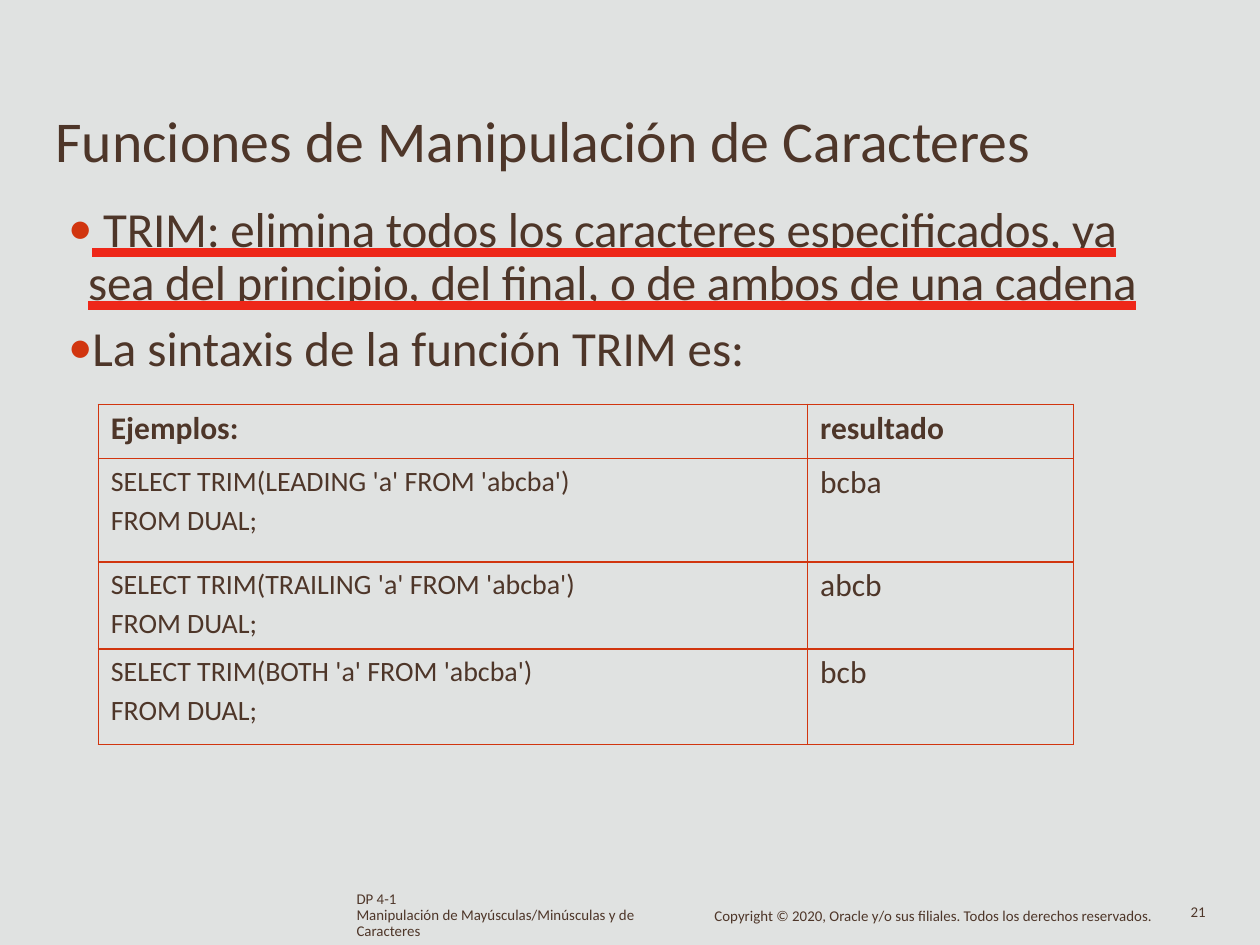
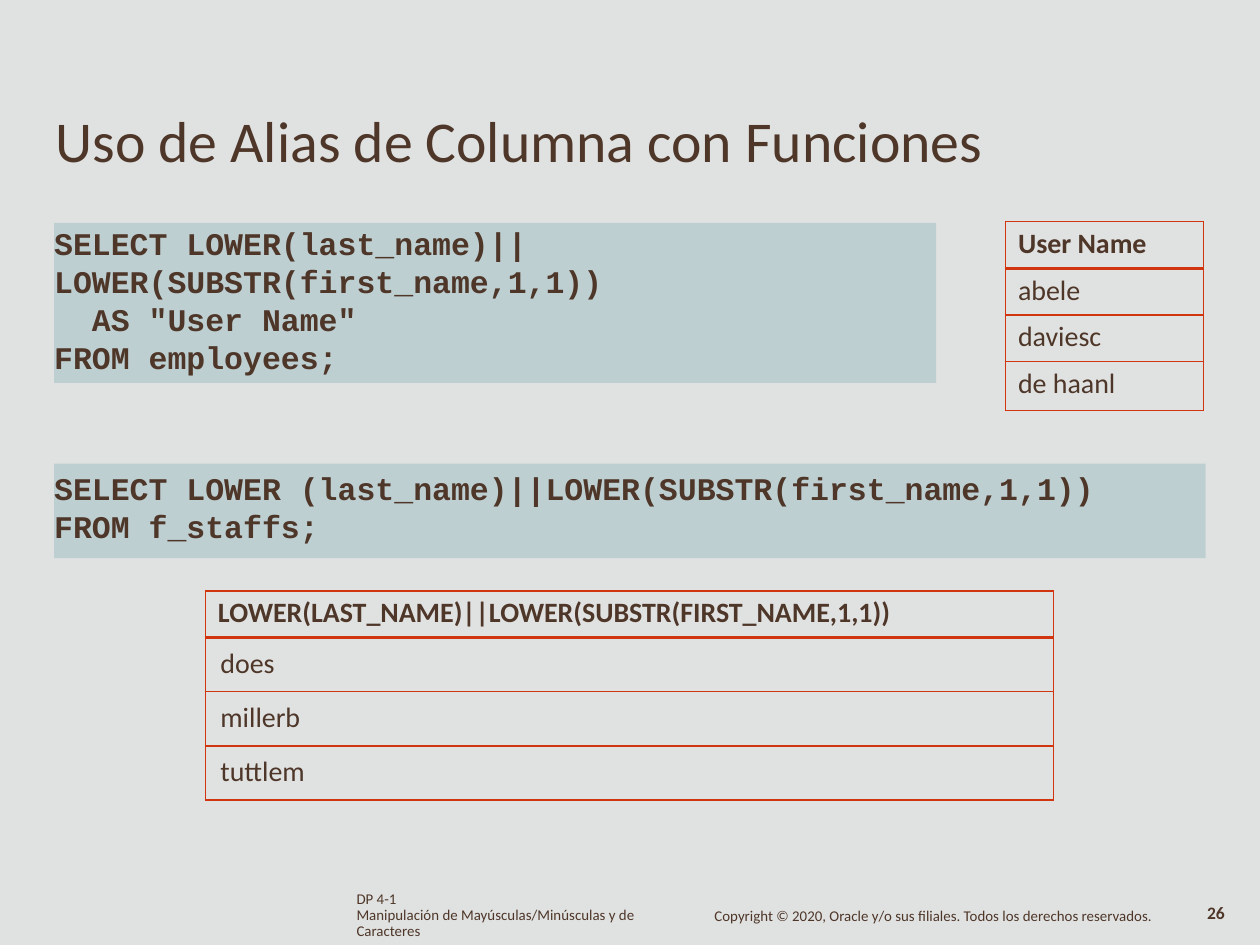
from dataclasses import dataclass
from typing import Optional

from lxml.etree import SubElement
from pptx import Presentation
from pptx.dml.color import RGBColor
from pptx.enum.shapes import MSO_SHAPE
from pptx.enum.text import MSO_ANCHOR, MSO_AUTO_SIZE, MSO_UNDERLINE, PP_ALIGN
from pptx.oxml.ns import qn
from pptx.util import Inches, Pt

BACKGROUND = RGBColor(0xE0, 0xE2, 0xE1)
BROWN = RGBColor(0x4E, 0x36, 0x29)
RED = RGBColor(0xD1, 0x35, 0x0F)
UNDERLINE_RED = RGBColor(0xEE, 0x27, 0x19)
CODE_BLUE = RGBColor(0x9D, 0xBE, 0xC4)
TEXT_FONT = "Calibri"
CODE_FONT = "Courier New"
TITLE_ONLY, TITLE_AND_BODY = 5, 1
THIN, THICK = 1, 2.25


@dataclass
class Box:
    left: float
    top: float
    width: float
    height: float

    def lengths(self) -> tuple:
        return tuple(Inches(n) for n in (self.left, self.top, self.width, self.height))


@dataclass
class TextStyle:
    size: float
    bold: bool = False
    font: str = TEXT_FONT
    line_spacing: Optional[float] = None


@dataclass
class PageNumber:
    text: str
    left: float
    style: TextStyle


@dataclass
class CellStyle:
    text: TextStyle
    left: float = 0.1
    top: float = 0.04


@dataclass
class Grid:
    box: Box
    columns: list
    row_heights: list
    rows: list
    header: CellStyle
    body: list
    header_rule: float = THIN


@dataclass
class CodeBlock:
    box: Box
    top_inset: float
    paragraphs: list
    indents: list


TITLE = TextStyle(33)
BULLET = TextStyle(28)
FOOTER = TextStyle(8.5, line_spacing=9.1)
CODE = TextStyle(18, bold=True, font=CODE_FONT)

FOOTERS = [
    (Box(2.83, 7.08, 2.24, 0.4),
     "DP 4-1\nManipulación de Mayúsculas/Minúsculas y de Caracteres"),
    (Box(5.67, 7.21, 3.51, 0.15),
     "Copyright © 2020, Oracle y/o sus filiales. Todos los derechos reservados."),
]

BULLETS = [
    " TRIM: elimina todos los caracteres especificados, ya sea del principio, "
    "del final, o de ambos de una cadena",
    "La sintaxis de la función TRIM es:",
]

TRIM_RESULTS = [("LEADING", "bcba"), ("TRAILING", "abcb"), ("BOTH", "bcb")]
TRIM_GRID = Grid(
    Box(0.78, 3.21, 7.74, 2.7), [5.63, 2.11], [0.43, 0.82, 0.69, 0.76],
    [["Ejemplos:", "resultado"]]
    + [[f"SELECT TRIM({side} 'a' FROM 'abcba')\vFROM DUAL;", result]
       for side, result in TRIM_RESULTS],
    CellStyle(TextStyle(18, bold=True)),
    [CellStyle(TextStyle(16, line_spacing=22.3), top=0.01), CellStyle(TextStyle(18))],
)

ALIAS_HEADER = CellStyle(TextStyle(16, bold=True))
ALIAS_GRIDS = [
    Grid(Box(7.98, 1.76, 1.57, 1.5), [1.57], [0.37, 0.37, 0.37, 0.39],
         [["User Name"], ["abele"], ["daviesc"], ["de haanl"]],
         ALIAS_HEADER, [CellStyle(TextStyle(16))], THICK),
    Grid(Box(1.63, 4.69, 6.73, 1.66), [6.73], [0.37, 0.43, 0.43, 0.43],
         [["LOWER(LAST_NAME)||LOWER(SUBSTR(FIRST_NAME,1,1))"],
          ["does"], ["millerb"], ["tuttlem"]],
         ALIAS_HEADER, [CellStyle(TextStyle(16), left=0.12, top=0.07)], THICK),
]
CODE_BLOCKS = [
    CodeBlock(Box(0.43, 1.77, 7, 1.27), 0.01,
              ["SELECT LOWER(last_name)||\vLOWER(SUBSTR(first_name,1,1))",
               'AS "User Name"\vFROM employees;'], [0, 0.3]),
    CodeBlock(Box(0.43, 3.68, 9.14, 0.75), 0.04,
              ["SELECT LOWER (last_name)||LOWER(SUBSTR(first_name,1,1))\v"
               "FROM f_staffs;"], [0]),
]


def style_paragraph(paragraph, style: TextStyle) -> None:
    paragraph.alignment = PP_ALIGN.LEFT
    paragraph.space_before = Pt(0)
    if style.line_spacing:
        paragraph.line_spacing = Pt(style.line_spacing)
    for run in paragraph.runs:
        run.font.name = style.font
        run.font.size = Pt(style.size)
        run.font.bold = style.bold
        run.font.color.rgb = BROWN


def fill_frame(text_frame, text: str, style: TextStyle, top_inset: float = 0) -> None:
    text_frame.text = text
    text_frame.word_wrap = True
    text_frame.auto_size = MSO_AUTO_SIZE.NONE
    text_frame.vertical_anchor = MSO_ANCHOR.TOP
    text_frame.margin_left = text_frame.margin_right = text_frame.margin_bottom = 0
    text_frame.margin_top = Inches(top_inset)
    for paragraph in text_frame.paragraphs:
        style_paragraph(paragraph, style)


def place(shape, box: Box) -> None:
    shape.left, shape.top, shape.width, shape.height = box.lengths()


def add_text(slide, box: Box, text: str, style: TextStyle) -> None:
    fill_frame(slide.shapes.add_textbox(*box.lengths()).text_frame, text, style)


def add_page(presentation, layout: int, title: str, number: PageNumber):
    """Add a slide with the shared title and footer."""
    slide = presentation.slides.add_slide(presentation.slide_layouts[layout])
    place(slide.shapes.title, Box(0.44, 0.82, 8.4, 0.58))
    fill_frame(slide.shapes.title.text_frame, title, TITLE, 0.01)
    for box, text in FOOTERS:
        add_text(slide, box, text, FOOTER)
    add_text(slide, Box(number.left, 7.18, 0.3, 0.17), number.text, number.style)
    return slide


def add_solid_fill(parent, color: RGBColor) -> None:
    fill = SubElement(parent, qn("a:solidFill"))
    SubElement(fill, qn("a:srgbClr"), val=str(color))


def set_bullet(paragraph, margin: float, hanging: float) -> None:
    properties = paragraph._p.get_or_add_pPr()
    properties.set("marL", str(Inches(margin)))
    properties.set("indent", str(-Inches(hanging)))
    color = SubElement(properties, qn("a:buClr"))
    SubElement(color, qn("a:srgbClr"), val=str(RED))
    SubElement(properties, qn("a:buFont"), typeface=TEXT_FONT)
    SubElement(properties, qn("a:buChar"), char="•")


def underline_in_red(run) -> None:
    run.font.underline = MSO_UNDERLINE.HEAVY_LINE
    properties = run.font._element
    properties.set("spc", "-15")
    underline_fill = properties.makeelement(qn("a:uFill"), {})
    add_solid_fill(underline_fill, UNDERLINE_RED)
    properties.find(qn("a:latin")).addprevious(underline_fill)


def fill_bullets(body) -> None:
    place(body, Box(0.53, 1.55, 8.65, 1.45))
    fill_frame(body.text_frame, "\n".join(BULLETS), BULLET, 0.07)
    definition, syntax = body.text_frame.paragraphs
    definition.line_spacing = Pt(30.3)
    syntax.space_before = Pt(4.2)
    set_bullet(definition, 0.17, 0.16)
    set_bullet(syntax, 0.2, 0.19)
    underline_in_red(definition.runs[0])


def set_borders(cell, top: float, bottom: float) -> None:
    properties = cell._tc.get_or_add_tcPr()
    for side, width in (("L", THIN), ("R", THIN), ("T", top), ("B", bottom)):
        line = SubElement(properties, qn(f"a:ln{side}"), w=str(Pt(width)))
        add_solid_fill(line, RED)


def fill_cell(cell, text: str, style: CellStyle) -> None:
    cell.text_frame.text = text
    cell.vertical_anchor = MSO_ANCHOR.TOP
    cell.margin_left, cell.margin_top = Inches(style.left), Inches(style.top)
    cell.margin_right = cell.margin_bottom = 0
    for paragraph in cell.text_frame.paragraphs:
        style_paragraph(paragraph, style.text)


def add_grid(slide, grid: Grid) -> None:
    table = slide.shapes.add_table(
        len(grid.rows), len(grid.columns), *grid.box.lengths()).table
    table.first_row = table.horz_banding = False
    for column, width in zip(table.columns, grid.columns):
        column.width = Inches(width)
    for row_index, texts in enumerate(grid.rows):
        table.rows[row_index].height = Inches(grid.row_heights[row_index])
        for column_index, text in enumerate(texts):
            cell = table.cell(row_index, column_index)
            style = grid.body[column_index] if row_index else grid.header
            fill_cell(cell, text, style)
            set_borders(cell,
                        grid.header_rule if row_index == 1 else THIN,
                        grid.header_rule if row_index == 0 else THIN)
            cell.fill.background()


def add_code(slide, block: CodeBlock) -> None:
    shape = slide.shapes.add_shape(MSO_SHAPE.RECTANGLE, *block.box.lengths())
    shape.shadow.inherit = False
    shape.line.fill.background()
    shape.fill.solid()
    shape.fill.fore_color.rgb = CODE_BLUE
    color = shape._element.spPr.find(qn("a:solidFill")).find(qn("a:srgbClr"))
    SubElement(color, qn("a:alpha"), val="50000")
    fill_frame(shape.text_frame, "\n".join(block.paragraphs), CODE, block.top_inset)
    for paragraph, indent in zip(shape.text_frame.paragraphs, block.indents):
        paragraph._p.get_or_add_pPr().set("indent", str(Inches(indent)))


def build_trim_slide(presentation) -> None:
    slide = add_page(presentation, TITLE_AND_BODY,
                     "Funciones de Manipulación de Caracteres",
                     PageNumber("21", 9.45, FOOTER))
    fill_bullets(slide.placeholders[1])
    add_grid(slide, TRIM_GRID)


def build_alias_slide(presentation) -> None:
    slide = add_page(presentation, TITLE_ONLY, "Uso de Alias de Columna con Funciones",
                     PageNumber("26", 9.58, TextStyle(10, bold=True, line_spacing=10.4)))
    for grid in ALIAS_GRIDS:
        add_grid(slide, grid)
    for block in CODE_BLOCKS:
        add_code(slide, block)


def main() -> None:
    presentation = Presentation()
    presentation.slide_width, presentation.slide_height = Inches(10), Inches(7.5)
    background = presentation.slide_master.background.fill
    background.solid()
    background.fore_color.rgb = BACKGROUND
    build_trim_slide(presentation)
    build_alias_slide(presentation)
    presentation.save("out.pptx")


if __name__ == "__main__":
    main()
